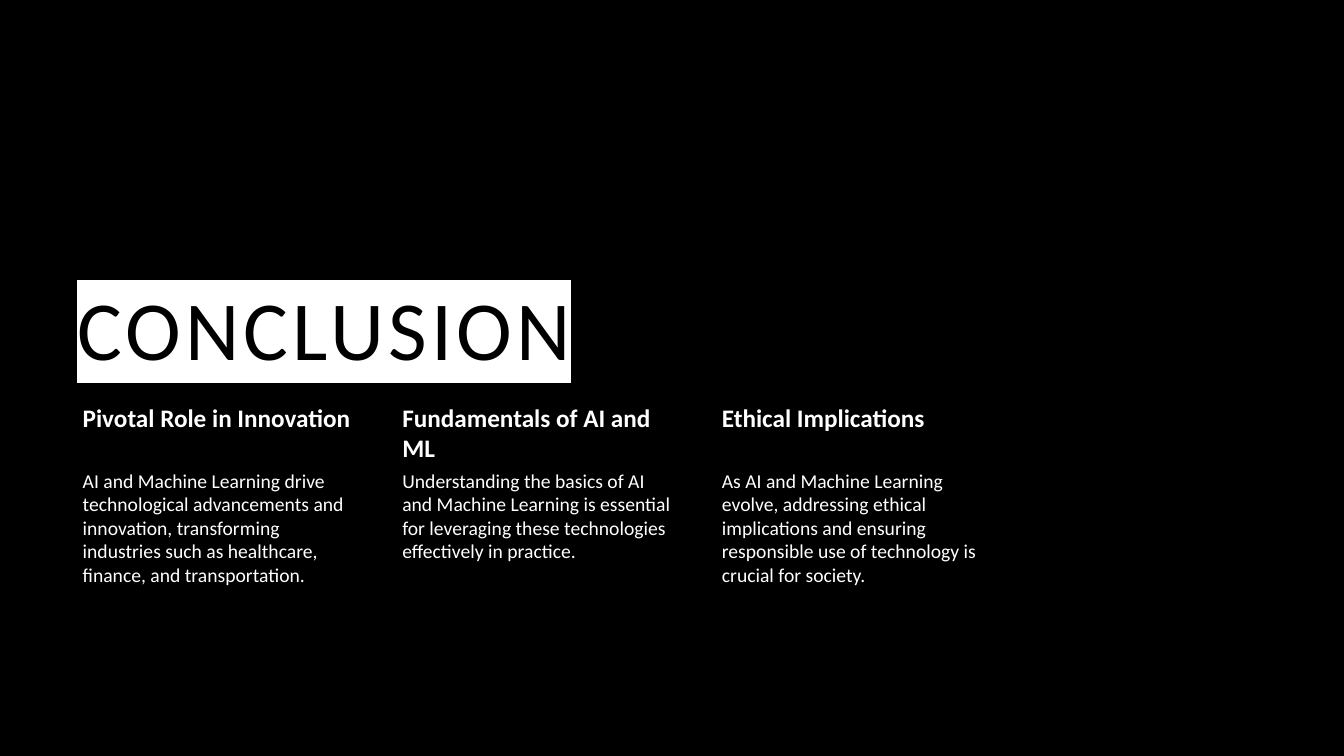
from dataclasses import dataclass

from lxml import etree
from pptx import Presentation
from pptx import util as u
from pptx.dml.color import RGBColor
from pptx.enum import text
from pptx.oxml.ns import qn

PX = 9144  # EMU, 100 px to the inch


@dataclass(frozen=True)
class Theme:
    font: str = "Calibri"
    background: str = "000000"
    body: str = "FFFFFF"
    title: str = "000000"
    title_highlight: str = "FFFFFF"
    title_size: int = 60
    heading_size: int = 18
    body_size: int = 14


THEME = Theme()

LEFT, COLUMN_WIDTH, COLUMN_PITCH = 67, 288, 317
HEADING_TOP, HEADING_HEIGHT, BODY_HEIGHT = 396, 67, 137
TAKEAWAYS = [
    ("Pivotal Role in Innovation",
     "AI and Machine Learning drive technological advancements and innovation, "
     "transforming industries such as healthcare, finance, and transportation."),
    ("Fundamentals of AI and ML",
     "Understanding the basics of AI and Machine Learning is essential for "
     "leveraging these technologies effectively in practice."),
    ("Ethical Implications",
     "As AI and Machine Learning evolve, addressing ethical implications and "
     "ensuring responsible use of technology is crucial for society."),
]


def add_text(slide, wording, box, insets, size, color, bold=False):
    """Add a one-paragraph text box; box and insets are in px, left first."""
    frame = slide.shapes.add_textbox(*(u.Emu(n * PX) for n in box)).text_frame
    frame.word_wrap = True
    (frame.margin_left, frame.margin_top,
     frame.margin_right, frame.margin_bottom) = (u.Emu(n * PX) for n in insets)
    frame.text = wording
    font = frame.paragraphs[0].runs[0].font
    font.name, font.size, font.bold = THEME.font, u.Pt(size), bold
    font.color.rgb = RGBColor.from_string(color)
    return frame


def highlight(run, color, spacing):
    """Put a colour behind a run and space its letters, in points."""
    properties = run.font._element
    properties.set("spc", str(spacing * 100))
    marker = etree.Element(qn("a:highlight"))
    etree.SubElement(marker, qn("a:srgbClr"), val=color)
    properties.find(qn("a:solidFill")).addnext(marker)


def add_title(slide, wording):
    frame = add_text(slide, wording, (LEFT, 178, 922, 201), (10, 5, 10, 5),
                     THEME.title_size, THEME.title)
    frame.vertical_anchor = text.MSO_ANCHOR.BOTTOM
    line = frame.paragraphs[0]
    line.line_spacing = 1.2
    highlight(line.runs[0], THEME.title_highlight, 3)


def add_takeaway(slide, left, heading, body):
    add_text(slide, heading, (left, HEADING_TOP, COLUMN_WIDTH, HEADING_HEIGHT),
             (15, 3, 3, 3), THEME.heading_size, THEME.body, bold=True)
    add_text(slide, body,
             (left, HEADING_TOP + HEADING_HEIGHT, COLUMN_WIDTH, BODY_HEIGHT),
             (15, 2, 2, 2), THEME.body_size, THEME.body)


def main():
    deck = Presentation()
    deck.slide_width, deck.slide_height = u.Inches(13.33), u.Inches(7.5)
    slide = deck.slides.add_slide(deck.slide_layouts[6])
    fill = slide.background.fill
    fill.solid()
    fill.fore_color.rgb = RGBColor.from_string(THEME.background)

    for column, (heading, body) in enumerate(TAKEAWAYS):
        add_takeaway(slide, LEFT + column * COLUMN_PITCH, heading, body)
    add_title(slide, "CONCLUSION")
    deck.save("out.pptx")


if __name__ == "__main__":
    main()
